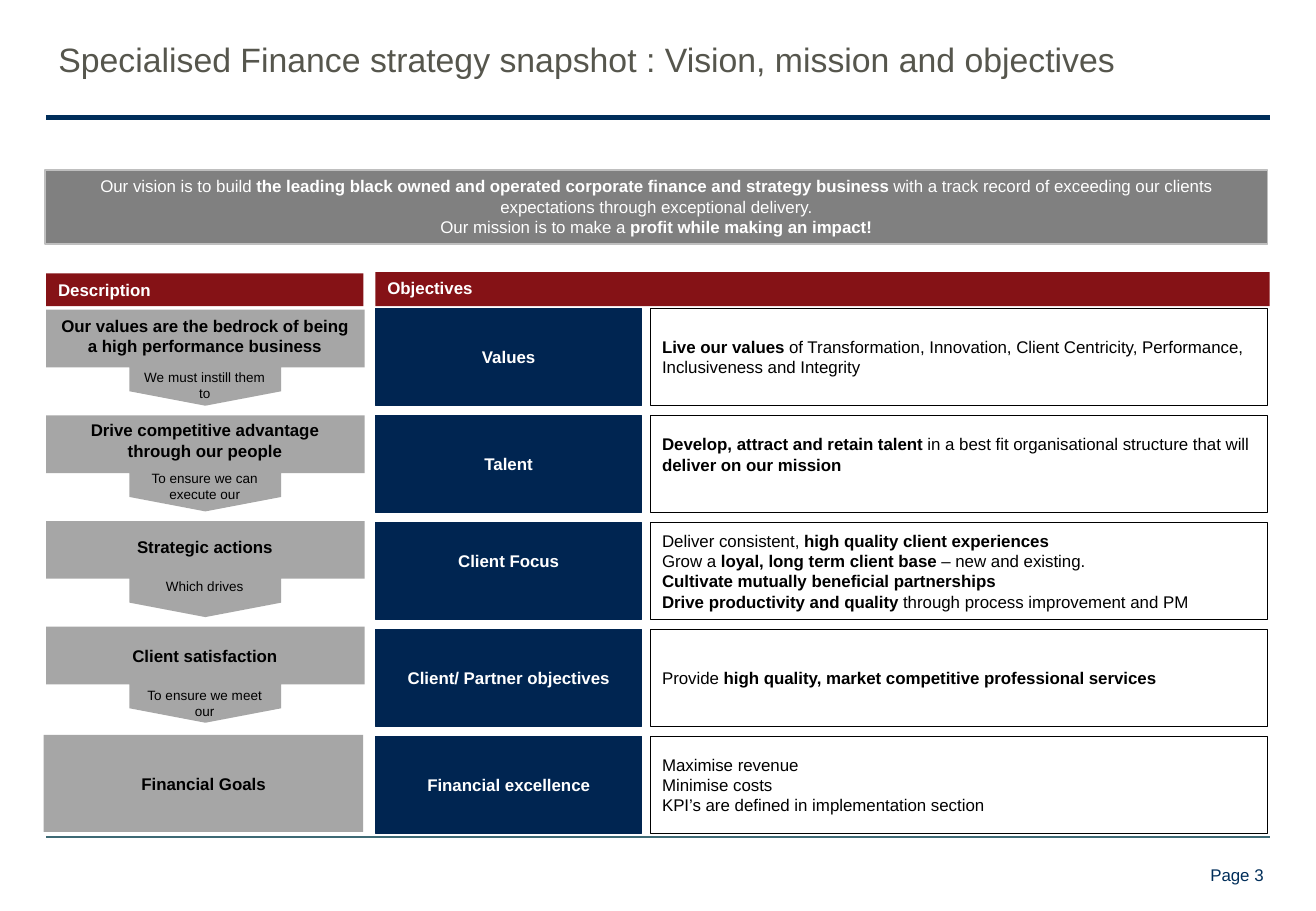
"""Build the Specialised Finance vision, mission and objectives slide."""
from lxml import etree
from pptx import Presentation
from pptx.dml.color import RGBColor
from pptx.enum.shapes import MSO_CONNECTOR, MSO_SHAPE
from pptx.enum.text import MSO_ANCHOR, MSO_AUTO_SIZE, PP_ALIGN
from pptx.oxml.ns import qn
from pptx.util import Pt

PX = 9144
FONT = "Arial"
RECT, CALLOUT = MSO_SHAPE.RECTANGLE, MSO_SHAPE.DOWN_ARROW_CALLOUT
LEFT, CENTER = PP_ALIGN.LEFT, PP_ALIGN.CENTER
TOP, MIDDLE = MSO_ANCHOR.TOP, MSO_ANCHOR.MIDDLE
NAVY, RED, GREY, BLACK, WHITE = "002551", "851216", "A6A6A6", "000000", "FFFFFF"
RULE_NAVY = "002E5A"
rgb = RGBColor.from_string


def write(sp, text, size=10, color=BLACK, bold=False, align=CENTER, anchor=MIDDLE, lift=0):
    """Fill a shape with text; ** switches bold and lift raises the text block."""
    tf = sp.text_frame
    tf.word_wrap = True
    tf.auto_size = MSO_AUTO_SIZE.NONE
    tf.vertical_anchor = anchor
    tf.margin_left = tf.margin_right = 10 * PX
    tf.margin_top, tf.margin_bottom = 5 * PX, (5 + lift) * PX
    for i, line in enumerate(text.split("\n")):
        p = tf.paragraphs[0] if i == 0 else tf.add_paragraph()
        p.alignment = align
        for j, part in enumerate(line.split("**")):
            if part:
                r = p.add_run()
                r.text = part
                r.font.name, r.font.size = FONT, Pt(size)
                r.font.bold = bold or j % 2 == 1
                r.font.color.rgb = rgb(color)
    return tf


def box(at, fill, line=None, width=0.5, kind=RECT):
    """Add a flat filled shape at (left, top, width, height) in px."""
    sp = s.shapes.add_shape(kind, *[v * PX for v in at])
    sp.shadow.inherit = False
    sp.fill.solid()
    sp.fill.fore_color.rgb = rgb(fill)
    if line:
        sp.line.color.rgb = rgb(line)
        sp.line.width = Pt(width)
    else:
        sp.line.fill.background()
    return sp


prs = Presentation()
prs.slide_width, prs.slide_height = 1083 * PX, 750 * PX
s = prs.slides.add_slide(prs.slide_layouts[5])

for y, color, width in ((97, RULE_NAVY, 3), (689, "3E6A75", 1)):
    rule = s.shapes.add_connector(MSO_CONNECTOR.STRAIGHT, 38 * PX, y * PX, 1045 * PX, y * PX)
    rule.line.color.rgb = rgb(color)
    rule.line.width = Pt(width)
    etree.SubElement(rule._element.spPr, qn("a:effectLst"))

title = s.shapes.title
title.left, title.top, title.width, title.height = [v * PX for v in (38, 15, 1006, 72)]
tf = write(title, "Specialised Finance strategy snapshot : Vision, mission and objectives",
           size=20, color="56564D", align=LEFT)
tf.paragraphs[0].line_spacing = 0.9

page = s.shapes.add_textbox(*[v * PX for v in (990, 702, 56, 37)])
tf = write(page, "Page 3", color=RULE_NAVY)
tf.margin_left = tf.margin_right = 0

vision = box((37, 140, 1006, 61), "808080", "BFBFBF", 0.75)
write(vision, "Our vision is to build **the leading black owned and operated corporate finance "
      "and strategy business** with a track record of exceeding our clients expectations "
      "through exceptional delivery.\n"
      "Our mission is to make a **profit while making an impact!**", color=WHITE, anchor=TOP)

for at, text in (((38, 225, 261, 27), "Description"), ((309, 224, 736, 28), "Objectives")):
    write(box(at, RED), text, color=WHITE, bold=True, align=LEFT, anchor=TOP)

steps = [
    ("Our values are the bedrock of being a high performance business", 255,
     "We must instill them to", 299),
    ("Drive competitive advantage through our people", 341, "To ensure we can execute our", 382),
    ("Strategic actions", 437, "Which drives", 471),
    ("Client satisfaction", 527, "To ensure we meet\nour", 561),
]
for i, (heading, heading_y, link, link_y) in enumerate(steps):
    callout = box((38, 255 + 87 * i, 262, 79), GREY, kind=CALLOUT)
    for k, value in enumerate((1.58, 0.79, 0.15, 0.6)):
        callout.adjustments[k] = value
    for at, text, size in (((38, heading_y, 261, 44), heading, 10),
                           ((106, link_y, 125, 37), link, 8)):
        tb = s.shapes.add_textbox(*[v * PX for v in at])
        write(tb, text, size=size, bold=size == 10, anchor=TOP)
write(box((36, 605, 263, 80), GREY), "Financial Goals", bold=True)

objectives = [
    ("Values", 0, "**Live our values** of Transformation, Innovation, Client Centricity, "
     "Performance, Inclusiveness and Integrity", 0),
    ("Talent", 0, "**Develop, attract and retain talent** in a best fit organisational "
     "structure that will **deliver on our mission**", 16),
    ("Client Focus", 16, "Deliver consistent, **high quality client experiences**\n"
     "Grow a **loyal, long term client base** – new and existing.\n"
     "**Cultivate mutually beneficial partnerships**\n"
     "**Drive productivity and quality** through process improvement and PM", 0),
    ("Client/ Partner objectives", 0,
     "Provide **high quality, market competitive professional services**", 0),
    ("Financial excellence", 0,
     "Maximise revenue\nMinimise costs\nKPI’s are defined in implementation section", 0),
]
for i, (name, name_lift, detail, detail_lift) in enumerate(objectives):
    y = 254 + 88 * i
    write(box((309, y, 219, 80), NAVY, NAVY), name, color=WHITE, bold=True, lift=name_lift)
    write(box((535, y, 508, 80), WHITE, BLACK), detail, align=LEFT, lift=detail_lift)

prs.save("out.pptx")
